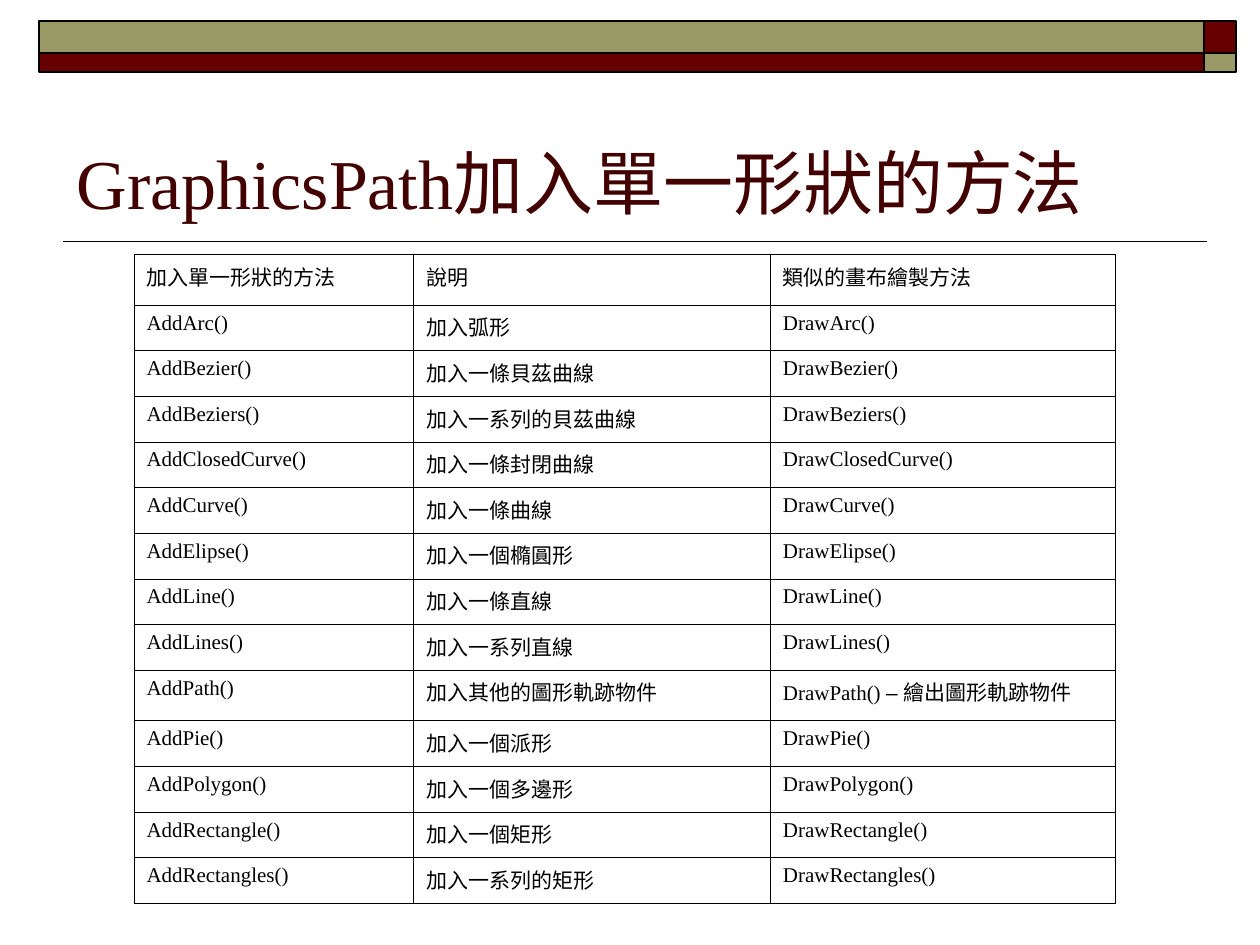
from lxml import etree
from pptx import Presentation
from pptx import util as u
from pptx.dml.color import RGBColor
from pptx.enum import shapes, text
from pptx.oxml import ns

BLACK = RGBColor(0x00, 0x00, 0x00)
MAROON = RGBColor(0x66, 0x00, 0x00)
OLIVE = RGBColor(0x99, 0x99, 0x66)
TITLE_COLOR = RGBColor(0x42, 0x00, 0x00)

HEADER = ("加入單一形狀的方法", "說明", "類似的畫布繪製方法")
METHODS = [
    ("Arc", "加入弧形"),
    ("Bezier", "加入一條貝茲曲線"),
    ("Beziers", "加入一系列的貝茲曲線"),
    ("ClosedCurve", "加入一條封閉曲線"),
    ("Curve", "加入一條曲線"),
    ("Elipse", "加入一個橢圓形"),
    ("Line", "加入一條直線"),
    ("Lines", "加入一系列直線"),
    ("Path", "加入其他的圖形軌跡物件"),
    ("Pie", "加入一個派形"),
    ("Polygon", "加入一個多邊形"),
    ("Rectangle", "加入一個矩形"),
    ("Rectangles", "加入一系列的矩形"),
]
PATH_NOTE = ("– ", "繪出圖形軌跡物件")


class SlideBuilder:
    font = "Times New Roman"
    dash_font = "Arial"
    body_size = u.Pt(12)
    title_size = u.Pt(40)
    border_width = u.Pt(0.45)

    def __init__(self, page):
        self.page = page

    def format_span(self, span, size, color, font=None):
        span.font.name = font or self.font
        span.font.size = size
        span.font.color.rgb = color

    def bar(self, left, top, width, height, color):
        box = self.page.shapes.add_shape(
            shapes.MSO_SHAPE.RECTANGLE, u.Cm(left), u.Cm(top), u.Cm(width), u.Cm(height)
        )
        box.shadow.inherit = False
        box.fill.solid()
        box.fill.fore_color.rgb = color
        box.line.color.rgb = BLACK
        box.line.width = u.Pt(1)

    def rule(self, left, right, top):
        line = self.page.shapes.add_connector(
            shapes.MSO_CONNECTOR.STRAIGHT, u.Cm(right), u.Cm(top), u.Cm(left), u.Cm(top)
        )
        line.line.color.rgb = BLACK
        line.line.width = u.Pt(1)
        properties = line._element.spPr
        etree.SubElement(properties, ns.qn("a:effectLst"))

    def title(self, left, top, width, height, wording):
        box = self.page.shapes.add_textbox(u.Cm(left), u.Cm(top), u.Cm(width), u.Cm(height))
        frame = box.text_frame
        frame.word_wrap = True
        frame.vertical_anchor = text.MSO_ANCHOR.BOTTOM
        frame.text = wording
        self.format_span(frame.paragraphs[0].runs[0], self.title_size, TITLE_COLOR)

    def border(self, cell):
        properties = cell._tc.get_or_add_tcPr()
        for side in ("lnL", "lnR", "lnT", "lnB"):
            edge = etree.SubElement(properties, ns.qn(f"a:{side}"), w=str(int(self.border_width)))
            fill = etree.SubElement(edge, ns.qn("a:solidFill"))
            etree.SubElement(fill, ns.qn("a:srgbClr"), val=str(BLACK))

    def cell(self, cell, wording):
        self.border(cell)
        cell.fill.background()
        cell.text_frame.text = wording
        self.format_span(cell.text_frame.paragraphs[0].runs[0], self.body_size, BLACK)

    def append_note(self, cell, dash, note):
        para = cell.text_frame.paragraphs[0]
        for wording, font in ((" ", self.font), (dash, self.dash_font), (note, self.font)):
            span = para.add_run()
            span.text = wording
            self.format_span(span, self.body_size, BLACK, font)

    def table(self, left, top, widths, heights, rows):
        frame = self.page.shapes.add_table(
            len(rows), len(widths), u.Cm(left), u.Cm(top), u.Cm(sum(widths)), u.Cm(sum(heights))
        )
        table = frame.table
        table.first_row = False
        table.horz_banding = False
        for column, width in zip(table.columns, widths):
            column.width = u.Cm(width)
        for row, height, wordings in zip(table.rows, heights, rows):
            row.height = u.Cm(height)
            for cell, wording in zip(row.cells, wordings):
                self.cell(cell, wording)
        return table


def main():
    deck = Presentation()
    deck.slide_width = u.Cm(25.4)
    deck.slide_height = u.Cm(19.05)
    builder = SlideBuilder(deck.slides.add_slide(deck.slide_layouts[6]))

    builder.rule(1.27, 24.33, 4.87)
    wide, narrow, tall, short = 23.49, 0.64, 0.64, 0.38
    left, top = 0.79, 0.43
    builder.bar(left + wide, top, narrow, tall, MAROON)
    builder.bar(left, top, wide, tall, OLIVE)
    builder.bar(left, top + tall, wide, short, MAROON)
    builder.bar(left + wide, top + tall, narrow, short, OLIVE)

    builder.title(1.3, 0.58, 23.55, 4.06, "GraphicsPath加入單一形狀的方法")

    rows = [HEADER] + [(f"Add{name}()", meaning, f"Draw{name}()") for name, meaning in METHODS]
    path_row = [row[0] for row in rows].index("AddPath()")
    heights = [1.02 if index in (0, path_row) else 0.92 for index in range(len(rows))]
    table = builder.table(2.7, 5.13, (5.64, 7.19, 6.96), heights, rows)
    builder.append_note(table.cell(path_row, 2), *PATH_NOTE)

    deck.save("out.pptx")


if __name__ == "__main__":
    main()
